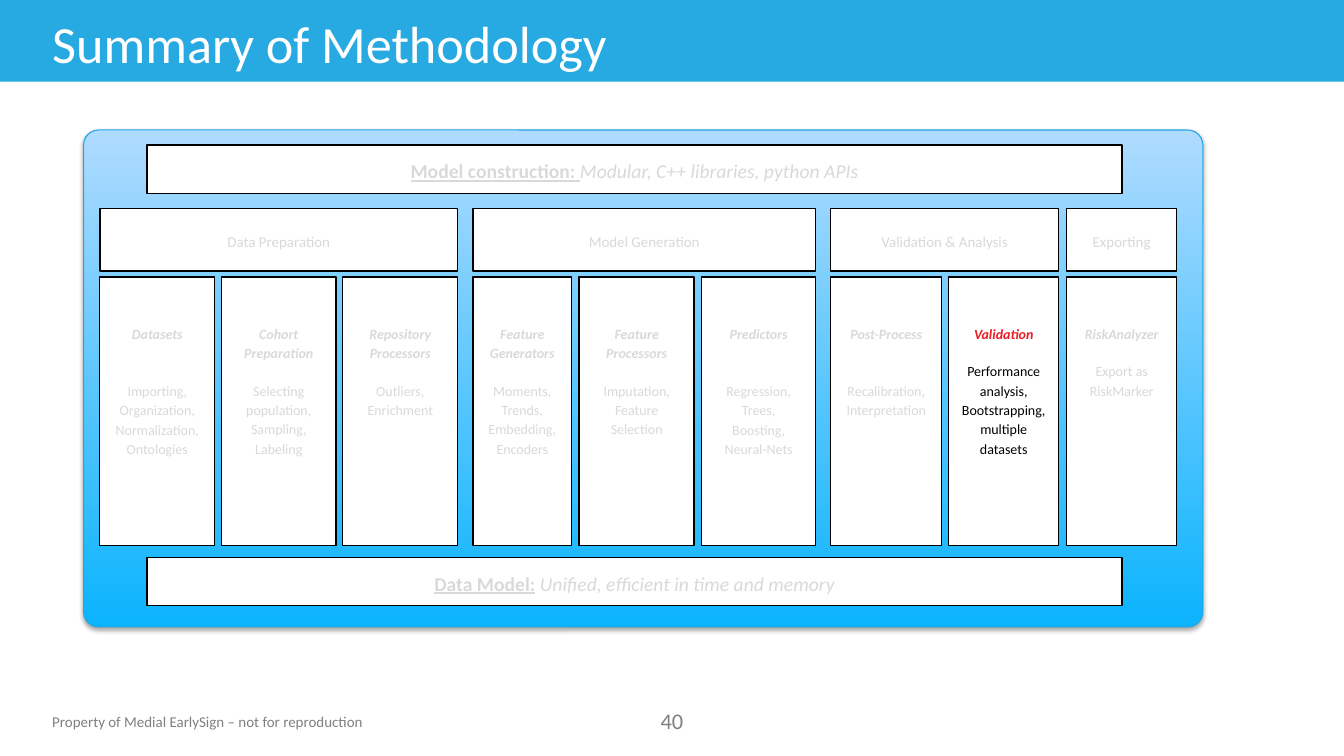
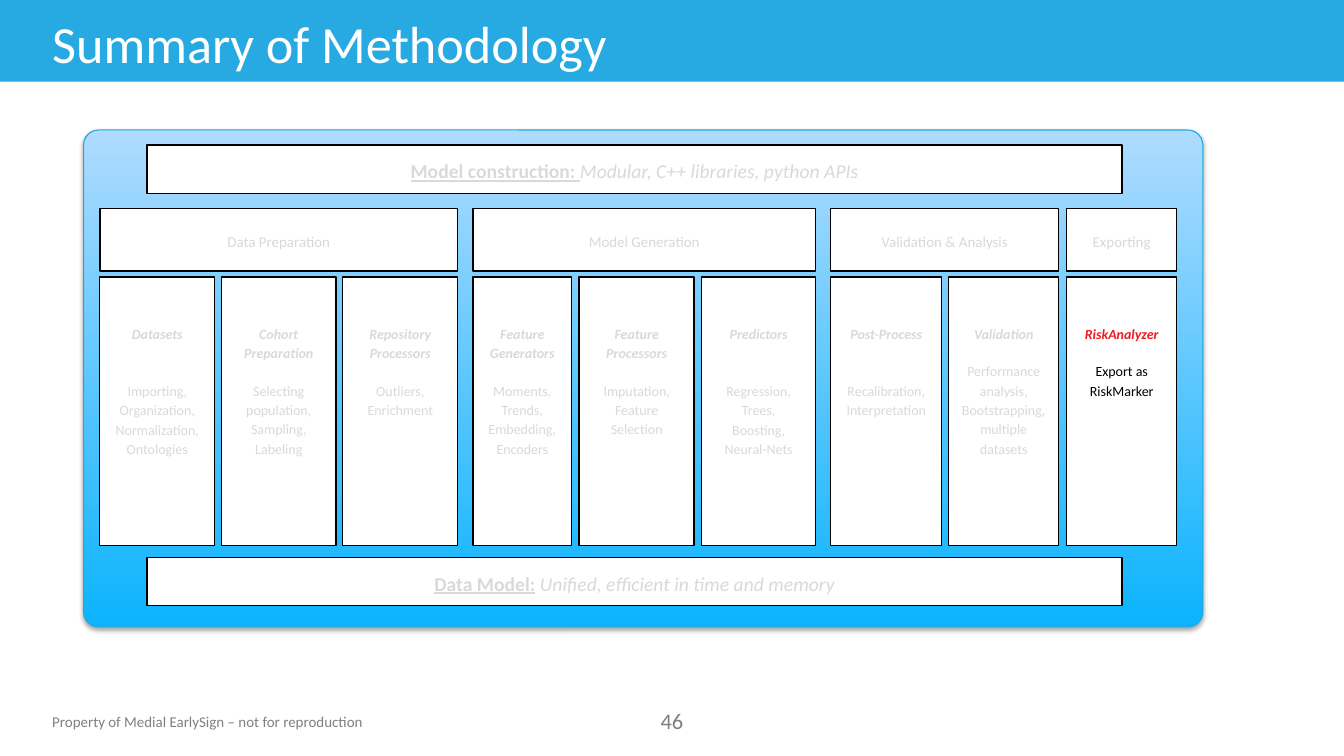
"""Build the two methodology summary slides."""
import pptx
import pptx.dml.color
import pptx.enum.shapes
import pptx.enum.text
import pptx.oxml
import pptx.oxml.ns
import pptx.util

Inches = pptx.util.Inches
Pt = pptx.util.Pt
Shape = pptx.enum.shapes.MSO_SHAPE
Align = pptx.enum.text.PP_ALIGN
Anchor = pptx.enum.text.MSO_ANCHOR

FONT = "Calibri"
BAND, WHITE, BLACK = "27A9E1", "FFFFFF", "000000"
MUTED, ACCENT, FOOTER = "D9D9D9", "ED1C24", "808080"
PANEL_LINE, PANEL_BOTTOM, PANEL_TOP = "22A7E1", "0BB4FD", "AFDBFF"

BODY_PARA = {"alignment": Align.CENTER, "line_spacing": 1.15, "space_after": Pt(13.3)}
BOX_FRAME = {"word_wrap": True, "margin_left": Inches(0.13), "margin_right": Inches(0.13),
             "margin_top": Inches(0.07), "margin_bottom": Inches(0.07)}
MIDDLE_FRAME = {**BOX_FRAME, "vertical_anchor": Anchor.MIDDLE}
COLUMN_FRAME = {**BOX_FRAME, "vertical_anchor": Anchor.TOP, "margin_top": Inches(0.45)}
BANNER_LABEL = {"size": Pt(14), "bold": True, "underline": True}
BANNER_TEXT = {"size": Pt(14), "italic": True}
COLUMN_HEADING = {"size": Pt(10), "bold": True, "italic": True}

HEADER_TOP, HEADER_HEIGHT = 2.07, 0.62
COLUMN_TOP, COLUMN_HEIGHT = 2.75, 2.66
NEAR, FAR = Pt(13.3), Pt(27.3)

BANNERS = [
    (1.44, "Model construction: ", "Modular, C++ libraries, python APIs"),
    (5.53, "Data Model:", " Unified, efficient in time and memory"),
]
GROUPS = [
    ("Data Preparation", 0.99, 3.55, [
        (1.14, "Datasets", FAR, "Importing, Organization, Normalization, Ontologies"),
        (1.14, "Cohort Preparation", NEAR, "Selecting population, Sampling, Labeling"),
        (1.14, "Repository Processors", NEAR, "Outliers, Enrichment"),
    ]),
    ("Model Generation", 4.69, 3.4, [
        (0.98, "Feature Generators", NEAR, "Moments, Trends, Embedding, Encoders"),
        (1.14, "Feature Processors", NEAR, "Imputation, Feature Selection"),
        (1.13, "Predictors", FAR, "Regression, Trees, Boosting, Neural-Nets"),
    ]),
    ("Validation & Analysis", 8.24, 2.26, [
        (1.1, "Post-Process", FAR, "Recalibration, Interpretation"),
        (1.09, "Validation", NEAR, "Performance analysis, Bootstrapping, multiple datasets"),
    ]),
    ("Exporting", 10.58, 1.09, [
        (1.09, "RiskAnalyzer", NEAR, "Export as RiskMarker"),
    ]),
]


def color(value):
    """Turn a hex string into a colour."""
    return pptx.dml.color.RGBColor.from_string(value)


def apply_format(target, values):
    """Set each format value on the target."""
    for name, value in values.items():
        setattr(target, name, value)


def add_span(para, text, text_color, font):
    """Add one run of formatted text."""
    span = para.add_run()
    span.text = text
    apply_format(span.font, {"name": FONT, **font})
    span.font.color.rgb = color(text_color)


def add_label(page, place, text, text_color, size, frame, alignment=Align.LEFT):
    """Add a plain one-line text box."""
    box = page.shapes.add_textbox(*map(Inches, place))
    apply_format(box.text_frame, frame)
    para = box.text_frame.paragraphs[0]
    para.alignment = alignment
    add_span(para, text, text_color, {"size": Pt(size)})


def add_box(page, place, fill=WHITE, line=BLACK, width=1, kind=Shape.RECTANGLE):
    """Add a filled shape without a shadow."""
    box = page.shapes.add_shape(kind, *map(Inches, place))
    box.shadow.inherit = False
    box.fill.solid()
    box.fill.fore_color.rgb = color(fill)
    if line:
        box.line.color.rgb = color(line)
        box.line.width = Pt(width)
    else:
        box.line.fill.background()
    return box


def add_centered_box(page, place, spans):
    """Add a white box with one centred line of spans."""
    box = add_box(page, place)
    apply_format(box.text_frame, MIDDLE_FRAME)
    para = box.text_frame.paragraphs[0]
    apply_format(para, BODY_PARA)
    for text, font in spans:
        add_span(para, text, MUTED, font)


def add_column(page, place, heading, gap, body, active):
    """Add a step box with a heading and its description."""
    box = add_box(page, place)
    frame = box.text_frame
    apply_format(frame, COLUMN_FRAME)
    para = frame.paragraphs[0]
    apply_format(para, {**BODY_PARA, "space_after": gap})
    add_span(para, heading, ACCENT if active else MUTED, COLUMN_HEADING)
    para = frame.add_paragraph()
    apply_format(para, BODY_PARA)
    add_span(para, body, BLACK if active else MUTED, {"size": Pt(10)})


def add_group(page, name, left, width, columns, active):
    """Add a group header above its evenly spaced columns."""
    add_centered_box(page, (left, HEADER_TOP, width, HEADER_HEIGHT),
                     [(name, {"size": Pt(10.7)})])
    spare = width - sum(column[0] for column in columns)
    gap = spare / max(len(columns) - 1, 1)
    for column_width, heading, space, body in columns:
        add_column(page, (left, COLUMN_TOP, column_width, COLUMN_HEIGHT),
                   heading, space, body, heading == active)
        left += column_width + gap


def add_panel(page):
    """Add the rounded gradient panel with its soft shadow."""
    panel = add_box(page, (0.83, 1.29, 11.1, 4.93), line=PANEL_LINE, width=0.75,
                    kind=Shape.ROUNDED_RECTANGLE)
    panel.adjustments[0] = 0.03
    panel.fill.gradient()
    panel.fill.gradient_angle = 90
    for stop, value in zip(panel.fill.gradient_stops, (PANEL_BOTTOM, PANEL_TOP)):
        stop.color.rgb = color(value)
    effects = panel.element.spPr.find(pptx.oxml.ns.qn("a:effectLst"))
    effects.append(pptx.oxml.parse_xml(
        f'<a:outerShdw {pptx.oxml.ns.nsdecls("a")} blurRad="{Pt(3.1)}" dist="{Pt(1.8)}" '
        f'dir="5400000" rotWithShape="0"><a:srgbClr val="{BLACK}">'
        '<a:alpha val="35000"/></a:srgbClr></a:outerShdw>'))


def add_page(deck, number):
    """Add a slide with the shared band, title and footer."""
    page = deck.slides.add_slide(deck.slide_layouts[6])
    add_box(page, (0, 0, 13.33, 0.81), fill=BAND, line=None)
    add_label(page, (0.42, 7.02, 3.33, 0.28),
              "Property of Medial EarlySign – not for reproduction", FOOTER, 10.7,
              {"word_wrap": False})
    add_label(page, (6.26, 6.97, 0.81, 0.37), number, FOOTER, 16,
              {"word_wrap": True}, Align.CENTER)
    add_label(page, (0.42, 0.06, 11.1, 0.73), "Summary of Methodology", WHITE, 37.3,
              {"word_wrap": True, "vertical_anchor": Anchor.MIDDLE})
    return page


def add_methodology(page, active):
    """Add the methodology diagram with one active step."""
    add_panel(page)
    for top, label, text in BANNERS:
        add_centered_box(page, (1.46, top, 9.67, 0.48),
                         [(label, BANNER_LABEL), (text, BANNER_TEXT)])
    for group in GROUPS:
        add_group(page, *group, active)


def main():
    """Build and save the deck."""
    deck = pptx.Presentation()
    apply_format(deck, {"slide_width": Inches(13.33), "slide_height": Inches(7.5)})
    for number, active in (("40", "Validation"), ("46", "RiskAnalyzer")):
        add_methodology(add_page(deck, number), active)
    deck.save("out.pptx")


if __name__ == "__main__":
    main()
